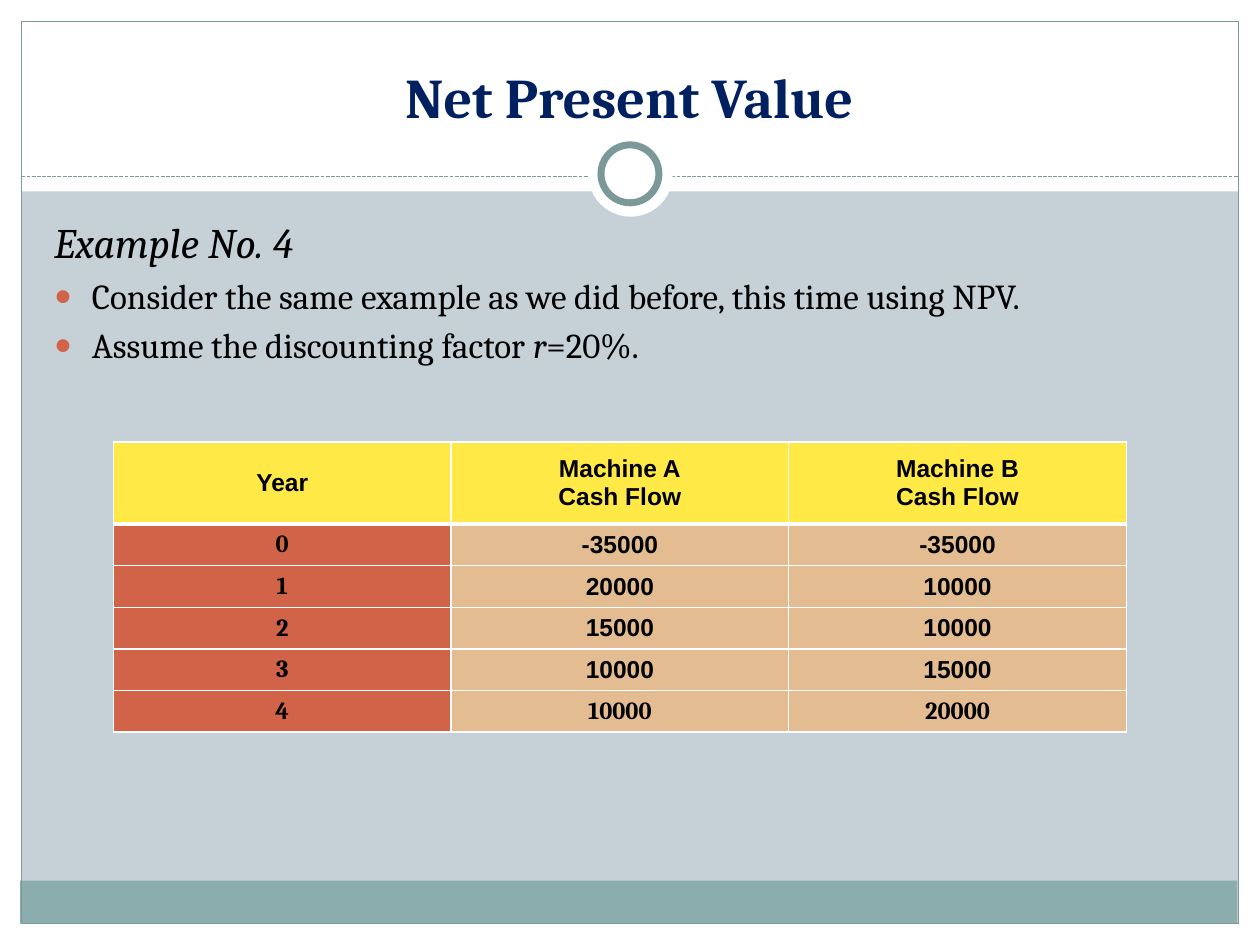
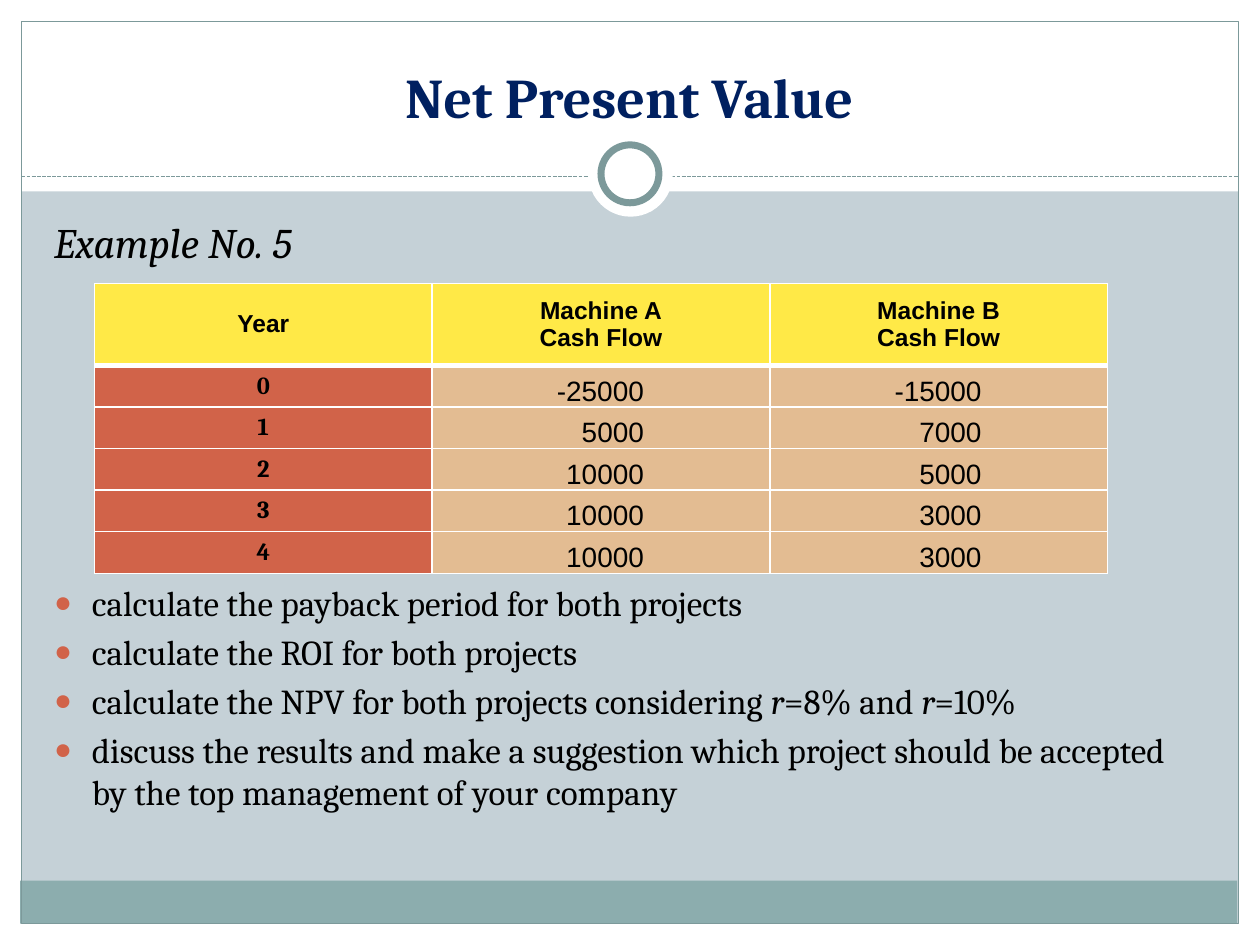
from lxml import etree
from pptx import Presentation
from pptx.dml.color import RGBColor
from pptx.enum.dml import MSO_LINE
from pptx.enum.shapes import MSO_CONNECTOR, MSO_SHAPE
from pptx.enum.text import MSO_ANCHOR, MSO_AUTO_SIZE, PP_ALIGN
from pptx.oxml import parse_xml
from pptx.oxml.ns import nsdecls, qn
from pptx.util import Inches, Pt

WHITE = RGBColor(0xFF, 0xFF, 0xFF)
BLACK = RGBColor(0, 0, 0)
NAVY = RGBColor(0x00, 0x20, 0x60)
MIST = RGBColor(0xC5, 0xD1, 0xD7)
TEAL = RGBColor(0x8C, 0xAD, 0xAE)
SLATE = RGBColor(0x7C, 0x99, 0x9A)
RUST = RGBColor(0xD1, 0x63, 0x49)
SAND = RGBColor(0xE3, 0xBC, 0x92)
GOLD = RGBColor(0xFF, 0xE9, 0x47)

RECT, OVAL = MSO_SHAPE.RECTANGLE, MSO_SHAPE.OVAL
LINE, DASH = MSO_CONNECTOR.STRAIGHT, MSO_LINE.SQUARE_DOT
CENTER, RIGHT = PP_ALIGN.CENTER, PP_ALIGN.RIGHT
MIDDLE, BOTTOM = MSO_ANCHOR.MIDDLE, MSO_ANCHOR.BOTTOM
FIXED = MSO_AUTO_SIZE.NONE

SERIF, SANS = "Cambria", "Arial"
TITLE = dict(name=SERIF, size=Pt(32), bold=True)
HEAD = dict(name=SERIF, size=Pt(24), italic=True)
ITEM = dict(name=SERIF, size=Pt(20), italic=False)
CELL = dict(name=SANS, size=Pt(14), bold=True)
YEAR = dict(CELL, name=SERIF)
PLAIN = dict(name=SANS, size=Pt(16), bold=False)

TITLE_BOX = (0.33, 0.25, 9.33, 0.83)
BODY_BOX = (0.33, 1.67, 9.16, 5)
HEADS = ("Year", "Machine A\nCash Flow", "Machine B\nCash Flow")


def style(font, look, color=BLACK):
    for key, value in look.items():
        setattr(font, key, value)
    font.color.rgb = color


def place(shape, box):
    for key, value in zip(("left", "top", "width", "height"), box):
        setattr(shape, key, Inches(value))


def add_form(slide, kind, box, fill=None, line=None, width=0.75):
    form = slide.shapes.add_shape(kind, *map(Inches, box))
    form.shadow.inherit = False
    if fill is None:
        form.fill.background()
    else:
        form.fill.solid()
        form.fill.fore_color.rgb = fill
    if line is None:
        form.line.fill.background()
    else:
        form.line.color.rgb = line
        form.line.width = Pt(width)
    return form


def add_frame(slide):
    """Draw the bands, border, dashed rule and ring."""
    bands = [(0, 7.33, 10, 0.17), (0, 0, 10, 1.52),
             (0, 0, 0.17, 7.5), (9.83, 0, 0.17, 7.5)]
    parts = [add_form(slide, RECT, box, WHITE) for box in bands]
    parts.append(add_form(slide, RECT, (0.16, 6.99, 9.66, 0.34), TEAL))
    parts.append(add_form(slide, RECT, (0.17, 0.17, 9.66, 7.16), line=SLATE))
    rule = slide.shapes.add_connector(
        LINE, *map(Inches, (0.17, 1.4, 9.83, 1.4)))
    rule.line.color.rgb = SLATE
    rule.line.width = Pt(0.75)
    rule.line.dash_style = DASH
    etree.SubElement(rule.element.spPr, qn("a:effectLst"))
    parts.append(rule)
    parts.append(add_form(slide, OVAL, (4.67, 1.05, 0.67, 0.67), WHITE))
    parts.append(add_form(slide, OVAL, (4.77, 1.15, 0.46, 0.46),
                          WHITE, SLATE, 4))
    return parts


def set_layout(deck):
    """Give the shared layout its ground, places and frame."""
    layout = deck.slide_layouts[1]
    layout.background.fill.solid()
    layout.background.fill.fore_color.rgb = MIST
    title, body, *rest = layout.placeholders
    place(title, TITLE_BOX)
    place(body, BODY_BOX)
    tree = layout.shapes.element
    for spare in rest:
        tree.remove(spare.element)
    return layout


def add_title(slide, text):
    frame = slide.shapes.title.text_frame
    frame.text = text
    frame.auto_size = FIXED
    frame.vertical_anchor = BOTTOM
    para = frame.paragraphs[0]
    para.alignment = CENTER
    style(para.runs[0].font, TITLE, NAVY)


def set_bullet(para):
    props = para._p.get_or_add_pPr()
    props.set("marL", str(Inches(0.3)))
    props.set("indent", str(-Inches(0.3)))
    for tag, text in (("buClr", f'><a:srgbClr val="{RUST}"/></a:buClr>'),
                      ("buSzPct", ' val="85000"/>'),
                      ("buFont", f' typeface="{SANS}"/>'),
                      ("buChar", ' char="●"/>')):
        props.append(parse_xml(f'<a:{tag} {nsdecls("a")}{text}'))


def add_body(slide, head, items, gap):
    """Write a heading and its bullets; *text* marks italics."""
    frame = slide.placeholders[1].text_frame
    frame.auto_size = FIXED
    para = frame.paragraphs[0]
    props = para._p.get_or_add_pPr()
    props.set("marL", "0")
    props.set("indent", "0")
    etree.SubElement(props, qn("a:buNone"))
    para.space_before = Pt(0)
    run = para.add_run()
    run.text = head
    style(run.font, HEAD)
    for i, item in enumerate(items):
        para = frame.add_paragraph()
        set_bullet(para)
        para.space_before = Pt(4 if i else gap)
        for j, part in enumerate(item.split("*")):
            run = para.add_run()
            run.text = part
            style(run.font, dict(ITEM, italic=j % 2 == 1))


def set_edges(cell, row):
    props = cell._tc.get_or_add_tcPr()
    widths = dict(L=1, R=1, T=3 if row == 1 else 1, B=1 if row else 3)
    for i, (side, width) in enumerate(widths.items()):
        props.insert(i, parse_xml(
            f'<a:ln{side} {nsdecls("a")} w="{Pt(width)}"><a:solidFill>'
            f'<a:srgbClr val="{WHITE}"/></a:solidFill></a:ln{side}>'))


def set_cell(cell, text, fill, look, row, loose=False):
    cell.text = text
    cell.fill.solid()
    cell.fill.fore_color.rgb = fill
    cell.vertical_anchor = BOTTOM if loose else MIDDLE
    cell.margin_left = Inches(0.07)
    cell.margin_right = Inches(1 if loose else 0.07)
    cell.margin_top = cell.margin_bottom = 0
    for para in cell.text_frame.paragraphs:
        para.alignment = RIGHT if loose else CENTER
        style(para.runs[0].font, look)
    set_edges(cell, row)


def add_flows(slide, left, top, flows, looks, loose=False):
    """Tabulate the yearly cash flow of both machines."""
    box = map(Inches, (left, top, 8.03, 2.3))
    table = slide.shapes.add_table(len(flows) + 1, len(HEADS), *box).table
    for col in table.columns:
        col.width = Inches(2.68)
    for i, row in enumerate(table.rows):
        row.height = Inches(0.33 if i else 0.65)
    for j, text in enumerate(HEADS):
        set_cell(table.cell(0, j), text, GOLD, CELL, 0)
    for i, (pair, look) in enumerate(zip(flows, looks), 1):
        set_cell(table.cell(i, 0), str(i - 1), RUST, YEAR, i)
        for j, value in enumerate(pair, 1):
            set_cell(table.cell(i, j), str(value), SAND, look, i, loose)


def main():
    deck = Presentation()
    deck.slide_width, deck.slide_height = Inches(10), Inches(7.5)
    layout = set_layout(deck)

    # Example 4
    slide = deck.slides.add_slide(layout)
    for part in add_frame(slide):
        layout.shapes.element.append(part.element)
    add_title(slide, "Net Present Value")
    add_body(slide, "Example No. 4", [
        "Consider the same example as we did before, this time using NPV.",
        "Assume the discounting factor *r*=20%."], 4)
    flows = [(-35000, -35000), (20000, 10000), (15000, 10000),
             (10000, 15000), (10000, 20000)]
    add_flows(slide, 0.9, 3.51, flows, [CELL] * 4 + [YEAR])

    # Example 5
    slide = deck.slides.add_slide(layout)
    add_title(slide, "Net Present Value")
    add_body(slide, "Example No. 5", [
        "calculate the payback period for both projects",
        "calculate the ROI for both projects",
        "calculate the NPV for both projects considering *r*=8% and *r*=10%",
        "discuss the results and make a suggestion which project should be "
        "accepted by the top management of your company"], 179.5)
    flows = [(-25000, -15000), (5000, 7000), (10000, 5000),
             (10000, 3000), (10000, 3000)]
    add_flows(slide, 0.75, 2.25, flows, [PLAIN] * 5, loose=True)

    deck.save("out.pptx")


if __name__ == "__main__":
    main()
